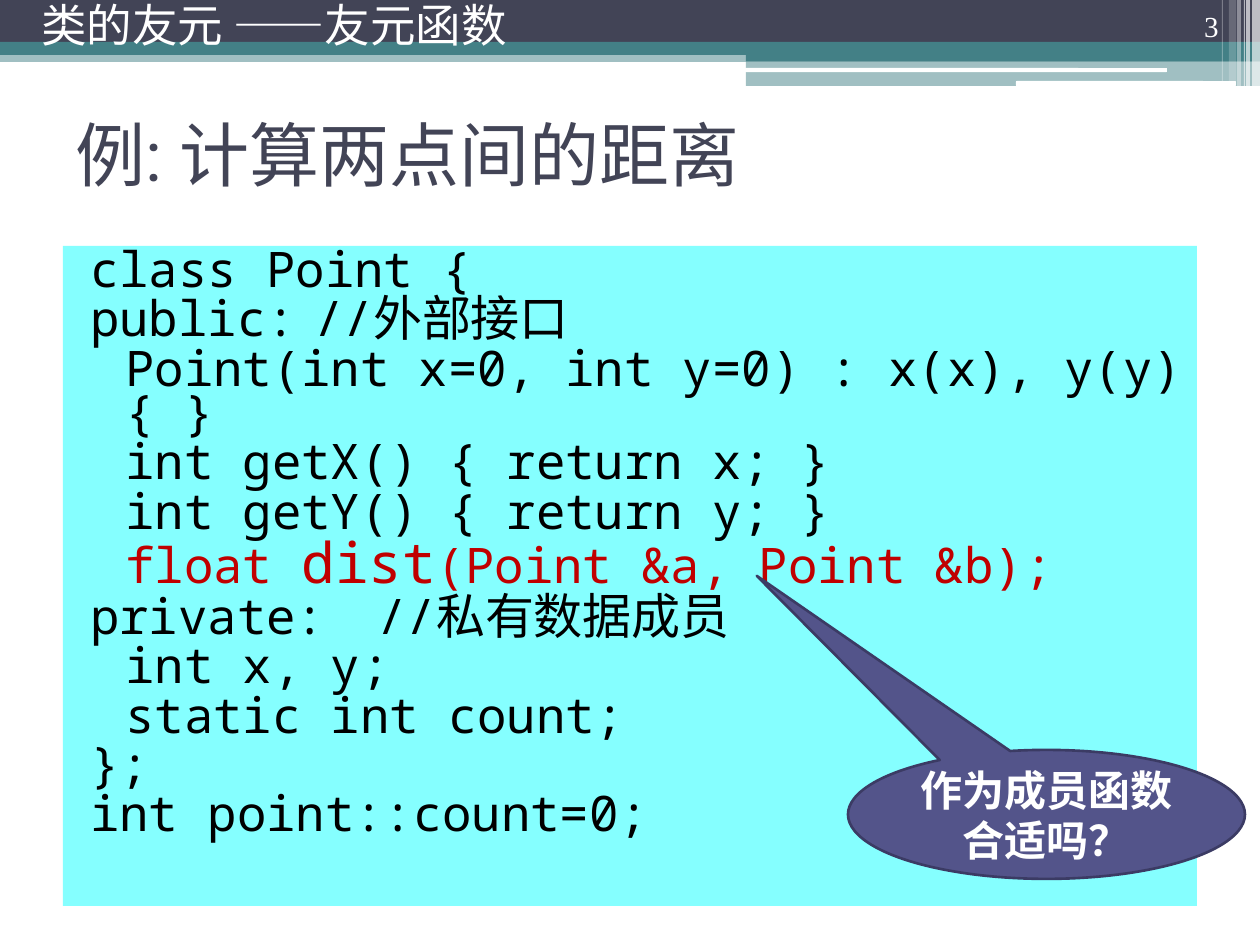
import pptx
import pptx.util
from lxml import etree
from pptx.dml.color import RGBColor
from pptx.enum.shapes import MSO_SHAPE
from pptx.enum.text import MSO_ANCHOR, MSO_AUTO_SIZE, PP_ALIGN
from pptx.oxml.ns import qn

EMU_PER_PX = 914400 / 126

WHITE = RGBColor(0xFF, 0xFF, 0xFF)
BLACK = RGBColor(0x00, 0x00, 0x00)
SLATE = RGBColor(0x42, 0x44, 0x56)
TEAL = RGBColor(0x43, 0x80, 0x86)
CYAN = RGBColor(0x85, 0xFF, 0xFF)
RED = RGBColor(0xC0, 0x00, 0x00)
PURPLE = RGBColor(0x53, 0x54, 0x8A)
DARK_PURPLE = RGBColor(0x3B, 0x3B, 0x64)

RECT = MSO_SHAPE.RECTANGLE
ROUND = MSO_SHAPE.ROUNDED_RECTANGLE

# Header band: shape, left, top, width, height, colour, opacity in percent
BANDS = [
    (RECT, 0, 50, 1260, 12, TEAL, 50),
    (RECT, 0, 0, 1260, 42, SLATE, 100),
    (RECT, 0, 42, 1260, 13, TEAL, 100),
    (RECT, 746, 49, 514, 12, TEAL, 100),
    (RECT, 746, 61, 514, 25, TEAL, 50),
    (ROUND, 745, 68, 422, 4, WHITE, 100),
    (ROUND, 1016, 81, 220, 5, WHITE, 100),
]

# Vertical stripes at the right end: left, width, height, opacity in percent
STRIPES = [
    (1252, 8, 86, 65),
    (1246, 4, 86, 65),
    (1244, 1, 86, 60),
    (1237, 4, 86, 40),
    (1229, 7, 81, 20),
    (1222, 1, 81, 30),
]

# A line is a list of (text, colour, size) spans
CODE = [
    [("class Point {", BLACK, 28)],
    [("public:\t//外部接口", BLACK, 28)],
    [("\tPoint(int x=0, int y=0) : x(x), y(y) { }", BLACK, 28)],
    [("\tint getX() { return x; }", BLACK, 28)],
    [("\tint getY() { return y; }", BLACK, 28)],
    [("\tfloat ", RED, 28), ("dist", RED, 32), ("(Point &a, Point &b);", RED, 28)],
    [("private:\t//私有数据成员", BLACK, 28)],
    [("\tint x, y;", BLACK, 28)],
    [("\tstatic int count;", BLACK, 28)],
    [("};", BLACK, 28)],
    [("int point::count=0;", BLACK, 28)],
]


def px(length):
    return pptx.util.Emu(round(length * EMU_PER_PX))


def add_shape(page, kind, left, top, width, height, color, opacity=100):
    shape = page.shapes.add_shape(kind, px(left), px(top), px(width), px(height))
    shape.shadow.inherit = False
    shape.fill.solid()
    shape.fill.fore_color.rgb = color
    shape.line.fill.background()
    if opacity < 100:
        solid = shape.fill._xPr.find(qn("a:solidFill"))
        etree.SubElement(solid[0], qn("a:alpha"), val=str(opacity * 1000))
    return shape


def style_font(font, name, size, color, bold=False):
    font.name = name
    font.size = pptx.util.Pt(size)
    font.color.rgb = color
    font.bold = bold


def write_text(shape, text, name, size, color, anchor=MSO_ANCHOR.MIDDLE,
               align=PP_ALIGN.LEFT, spacing=1.0, bold=False):
    frame = shape.text_frame
    frame.word_wrap = True
    frame.auto_size = MSO_AUTO_SIZE.NONE
    frame.vertical_anchor = anchor
    frame.text = text
    para = frame.paragraphs[0]
    para.alignment = align
    para.line_spacing = spacing
    style_font(para.font, name, size, color, bold)


def add_label(page, left, top, width, height, *text, **style):
    box = page.shapes.add_textbox(px(left), px(top), px(width), px(height))
    write_text(box, *text, **style)


def set_code_indent(para):
    """Hanging indent with a tab stop at every inch."""
    props = para._p.get_or_add_pPr()
    props.set("marL", str(px(50)))
    props.set("indent", str(-px(35)))
    stops = etree.SubElement(props, qn("a:tabLst"))
    for inch in range(8):
        etree.SubElement(stops, qn("a:tab"), pos=str(px(126 * inch)), algn="l")


def add_code(page):
    box = add_shape(page, RECT, 63, 246, 1134, 660, CYAN)
    frame = box.text_frame
    frame.word_wrap = True
    frame.vertical_anchor = MSO_ANCHOR.TOP
    for index, line in enumerate(CODE):
        para = frame.add_paragraph() if index else frame.paragraphs[0]
        set_code_indent(para)
        para.alignment = PP_ALIGN.LEFT
        para.line_spacing = 0.75
        para.space_before = pptx.util.Pt(3 if index else 0)
        for text, color, size in line:
            span = para.add_run()
            span.text = text
            style_font(span.font, "Noto Sans Mono", size, color)


def add_callout(page):
    callout = add_shape(page, MSO_SHAPE.OVAL_CALLOUT, 848, 750, 397, 129, PURPLE)
    callout.adjustments[0] = -0.73
    callout.adjustments[1] = -1.85
    callout.line.color.rgb = DARK_PURPLE
    callout.line.width = pptx.util.Pt(1.5)
    write_text(callout, "作为成员函数合适吗？", "Cambria", 24, WHITE,
               align=PP_ALIGN.CENTER, bold=True)


def add_title(page):
    title = page.shapes.title
    title.left, title.top, title.width, title.height = map(px, (63, 79, 1134, 148))
    write_text(title, "例: 计算两点间的距离", "Roboto", 40, SLATE)


def main():
    deck = pptx.Presentation()
    deck.slide_width, deck.slide_height = px(1260), px(945)
    page = deck.slides.add_slide(deck.slide_layouts[5])

    # Header decoration
    for band in BANDS:
        add_shape(page, *band)
    for left, width, height, opacity in STRIPES:
        add_shape(page, RECT, left, 0, width, height, WHITE, opacity)

    # Title and code
    add_title(page)
    add_code(page)

    # Page number and section name
    add_label(page, 1126, 0, 105, 50, "3", "Times New Roman", 16.6, WHITE,
              anchor=MSO_ANCHOR.BOTTOM, align=PP_ALIGN.RIGHT, spacing=0.9)
    add_label(page, 29, 0, 994, 59, "类的友元 ——友元函数", "Roboto", 26, WHITE,
              spacing=0.8)

    # Question about the member function
    add_callout(page)
    deck.save("out.pptx")


if __name__ == "__main__":
    main()
